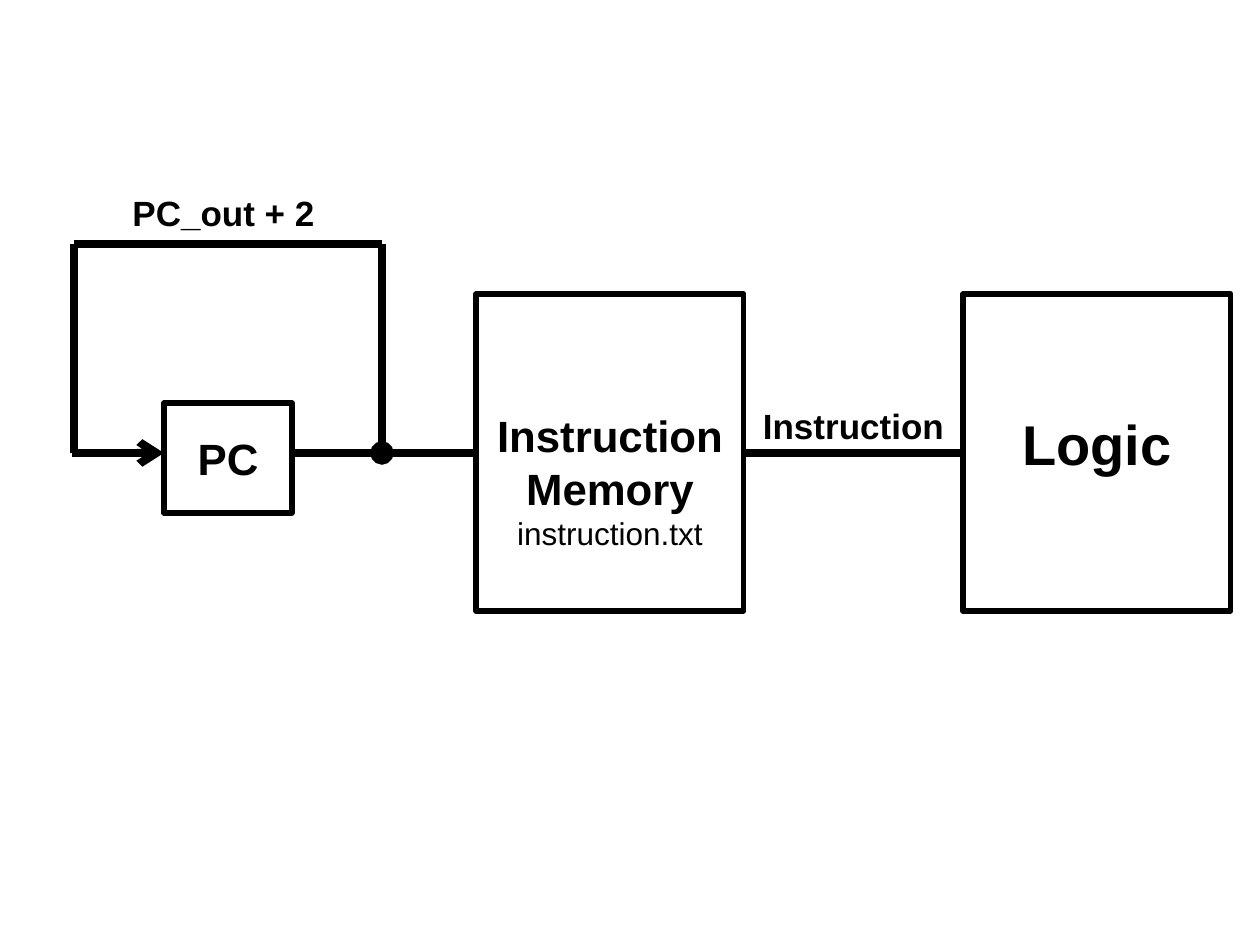
"""Build a slide with a block diagram of instruction fetch: PC, memory and logic."""
from lxml.etree import SubElement
from pptx import Presentation
from pptx.dml.color import RGBColor
from pptx.enum.shapes import MSO_CONNECTOR, MSO_SHAPE
from pptx.enum.text import MSO_AUTO_SIZE, PP_ALIGN
from pptx.oxml.ns import qn
from pptx.util import Pt

PX = 914400 // 126
BLACK = "000000"


def color(value):
    return RGBColor.from_string(value)


presentation = Presentation()
presentation.slide_width = 1260 * PX
presentation.slide_height = 945 * PX
slide = presentation.slides.add_slide(presentation.slide_layouts[6])

boxes = [
    (963, 294, 268, 317),
    (476, 294, 268, 317),
    (164, 403, 128, 110),
]
for box in boxes:
    shape = slide.shapes.add_shape(MSO_SHAPE.RECTANGLE, *[length * PX for length in box])
    shape.shadow.inherit = False
    shape.fill.background()
    shape.line.color.rgb = color(BLACK)
    shape.line.width = Pt(3)

wires = [
    (744, 453, 963, 453, None),
    (292, 453, 476, 453, None),
    (382, 244, 382, 453, "oval"),
    (382, 244, 74, 244, None),
    (74, 244, 74, 453, None),
    (72, 453, 164, 453, "arrow"),
]
for *ends, tail in wires:
    connector = slide.shapes.add_connector(MSO_CONNECTOR.STRAIGHT, *[end * PX for end in ends])
    connector.line.color.rgb = color(BLACK)
    connector.line.width = Pt(4.5)
    if tail:
        SubElement(connector.line._get_or_add_ln(), qn("a:tailEnd"), type=tail)
    SubElement(connector._element.spPr, qn("a:effectLst"))

labels = [
    ((963, 403, 268, 81), [("Logic", 32, True)]),
    ((744, 398, 219, 55), [("Instruction", 20, True)]),
    ((476, 403, 268, 156), [("Instruction", 25, True), ("Memory", 25, True), ("instruction.txt", 18, False)]),
    ((164, 426, 128, 66), [("PC", 25, True)]),
    ((114, 185, 219, 55), [("PC_out + 2", 20, True)]),
]
for box, lines in labels:
    text_frame = slide.shapes.add_textbox(*[length * PX for length in box]).text_frame
    text_frame.word_wrap = True
    text_frame.auto_size = MSO_AUTO_SIZE.SHAPE_TO_FIT_TEXT
    for index, (text, size, bold) in enumerate(lines):
        paragraph = text_frame.add_paragraph() if index else text_frame.paragraphs[0]
        paragraph.alignment = PP_ALIGN.CENTER
        run = paragraph.add_run()
        run.text = text
        run.font.name = "Arial"
        run.font.size = Pt(size)
        run.font.bold = bold
        run.font.color.rgb = color(BLACK)

presentation.save("out.pptx")
